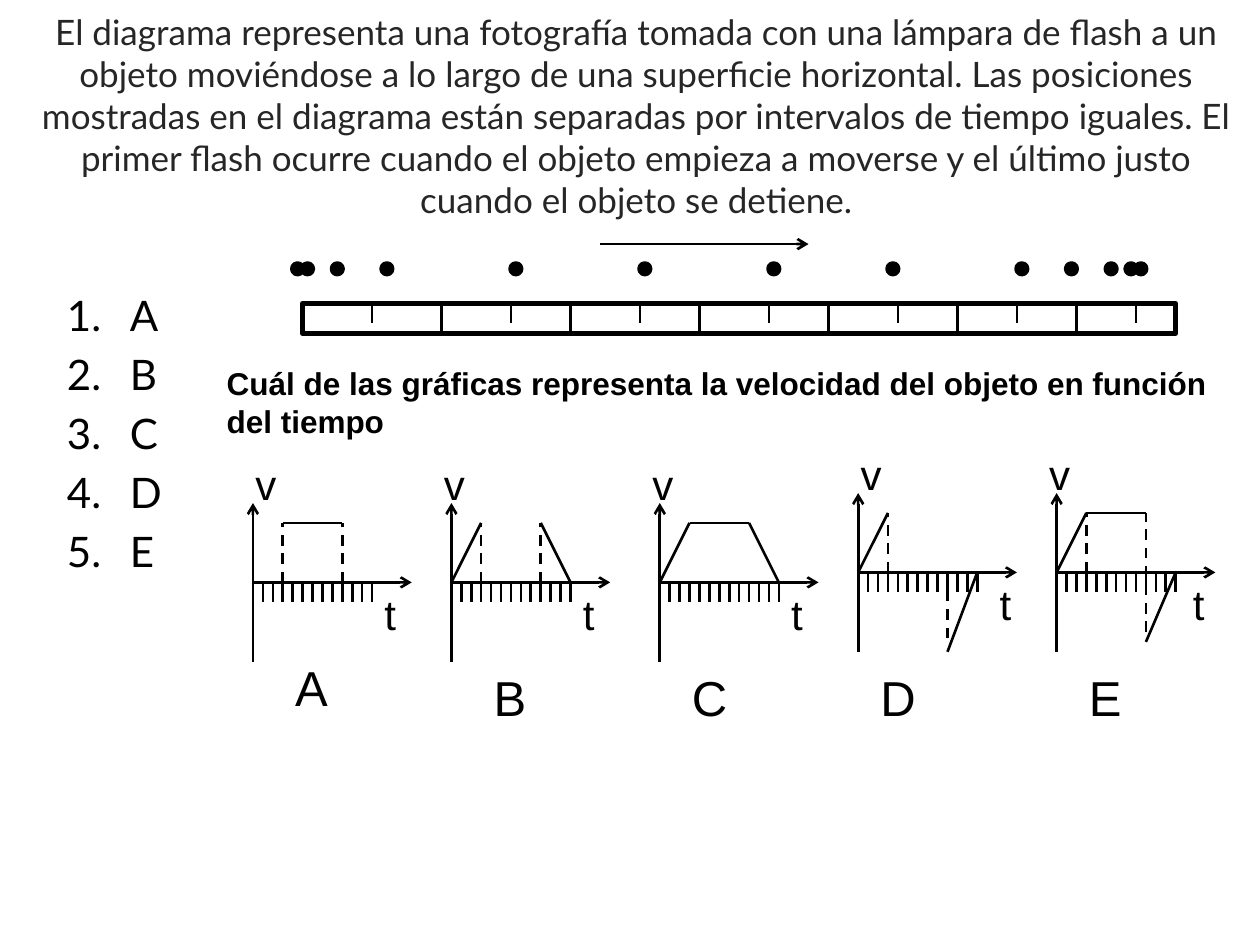
from dataclasses import dataclass

from lxml.etree import SubElement
from pptx import Presentation
from pptx.dml.color import RGBColor
from pptx.enum.dml import MSO_LINE
from pptx.enum.shapes import MSO_CONNECTOR as CONN, MSO_SHAPE as SHAPE
from pptx.enum.text import MSO_ANCHOR, MSO_AUTO_SIZE, PP_ALIGN
from pptx.oxml.ns import qn
from pptx.util import Cm, Pt


@dataclass(frozen=True)
class Theme:
    ink: RGBColor = RGBColor(0, 0, 0)
    title_ink: RGBColor = RGBColor(0x26, 0x26, 0x26)
    body_font: str = "Lato"
    graph_font: str = "Arial"
    title: int = 20
    answer: int = 24
    question: int = 18
    axis: int = 24
    letter: int = 28
    thin: float = 1.5
    thick: float = 3


THEME = Theme()

TITLE = (
    "El diagrama representa una fotografía tomada con una lámpara de flash a un "
    "objeto moviéndose a lo largo de una superficie horizontal. Las posiciones "
    "mostradas en el diagrama están separadas por intervalos de tiempo iguales. "
    "El primer flash ocurre cuando el objeto empieza a moverse y el último justo "
    "cuando el objeto se detiene."
)
QUESTION = ("Cuál de las gráficas representa la velocidad del objeto "
            "en función del tiempo")

# Centimetres from the left end of the ruler
MAJOR_MARKS = (2.8, 5.4, 8, 10.6, 13.2, 15.6)
MINOR_MARKS = (1.4, 4.2, 6.8, 9.4, 12, 14.4, 16.8)
FLASHES = (-0.2, 0, 0.6, 1.6, 4.2, 6.8, 9.4, 11.8, 14.4, 15.4, 16.2, 16.6, 16.8)

# Centimetres from the origin of a graph, y downwards
START, RISE, FALL, END, TOP = 0, 0.6, 1.8, 2.4, -1.2
UP = (START, 0, RISE, TOP)
DOWN = (FALL, TOP, END, 0)
FLAT = (FALL, TOP, RISE, TOP)
RISE_GUIDE = (RISE, 0, RISE, TOP)
FALL_GUIDE = (FALL, 0, FALL, TOP)

# Letter, origin, curve, guides, then the offsets of the letter, v and t
GRAPHS = (
    ("A", (5.1, 11.74), (FLAT,), (RISE_GUIDE, FALL_GUIDE),
     (0.6, 1.4), -0.2, 2.4),
    ("B", (9.1, 11.74), (UP, DOWN), (RISE_GUIDE, FALL_GUIDE),
     (0.6, 1.6), -0.4, 2.4),
    ("C", (13.3, 11.74), (UP, DOWN, FLAT), (),
     (0.4, 1.6), -0.4, 2.4),
    ("D", (17.3, 11.54), (UP, (END, 0, FALL, 1.6)),
     (RISE_GUIDE, (FALL, 0, FALL, 1.4)), (0.2, 1.8), -0.2, 2.6),
    ("E", (21.3, 11.54), (UP, FLAT, (END, 0, FALL, 1.4)),
     (RISE_GUIDE, (FALL, 1.2, FALL, TOP)), (0.4, 1.8), -0.4, 2.5),
)


def format_font(r, size, name, color=THEME.ink, bold=False):
    values = {"size": Pt(size), "name": name, "bold": bold}
    for key, value in values.items():
        setattr(r.font, key, value)
    r.font.color.rgb = color


def add_line(slide, origin, ends, dashed=False, arrow=False):
    """Draw a line whose ends (x1, y1, x2, y2) are relative to origin."""
    x, y = origin
    x1, y1, x2, y2 = ends
    s = slide.shapes.add_connector(
        CONN.STRAIGHT, Cm(x + x1), Cm(y + y1), Cm(x + x2), Cm(y + y2))
    s.line.color.rgb = THEME.ink
    s.line.width = Pt(THEME.thin)
    if dashed:
        s.line.dash_style = MSO_LINE.DASH
    sp_pr = s.line._get_or_add_ln().getparent()
    if arrow:
        SubElement(s.line._get_or_add_ln(), qn("a:tailEnd"), type="arrow")
    SubElement(sp_pr, qn("a:effectLst"))


def add_outlined(slide, kind, left, top, width, height):
    sp = slide.shapes.add_shape(kind, Cm(left), Cm(top), Cm(width), Cm(height))
    sp.shadow.inherit = False
    sp.fill.background()
    sp.line.color.rgb = THEME.ink
    sp.line.width = Pt(THEME.thick)
    return sp


def add_text(slide, box, lines, size, font, bold=False):
    tf = slide.shapes.add_textbox(*map(Cm, box)).text_frame
    tf.word_wrap = True
    tf.text = "\n".join(lines)
    for p in tf.paragraphs:
        format_font(p.runs[0], size, font, bold=bold)
    return tf


def place_title(slide, left, top, width, height):
    sp = slide.shapes.title
    box = {"left": left, "top": top, "width": width, "height": height}
    for key, value in box.items():
        setattr(sp, key, Cm(value))
    tf = sp.text_frame
    tf.text = TITLE
    layout = {"word_wrap": True, "auto_size": MSO_AUTO_SIZE.NONE,
              "vertical_anchor": MSO_ANCHOR.MIDDLE}
    for key, value in layout.items():
        setattr(tf, key, value)
    p = tf.paragraphs[0]
    p.alignment = PP_ALIGN.CENTER
    format_font(p.runs[0], THEME.title, THEME.body_font, THEME.title_ink)


def add_answers(slide, *box):
    tf = add_text(slide, box, "ABCDE", THEME.answer, THEME.body_font)
    for p in tf.paragraphs:
        p.space_before = Pt(0.2 * THEME.answer)
        p_pr = p._p.get_or_add_pPr()
        p_pr.set("marL", str(Cm(1.27)))
        p_pr.set("indent", str(Cm(-1.27)))
        SubElement(p_pr, qn("a:buFont"), typeface="+mj-lt")
        SubElement(p_pr, qn("a:buAutoNum"), type="arabicPeriod")


def add_flash_ruler(slide, left, top, width, height):
    origin = (left, top)
    add_outlined(slide, SHAPE.RECTANGLE, left, top, width, height)
    for marks, length in ((MAJOR_MARKS, height), (MINOR_MARKS, 0.4)):
        for x in marks:
            add_line(slide, origin, (x, 0, x, length))
    add_line(slide, origin, (6, -1.2, 10.2, -1.2), arrow=True)
    for x in FLASHES:
        dot = add_outlined(slide, SHAPE.OVAL, left + x, top - 0.8, 0.2, 0.2)
        dot.fill.solid()
        dot.fill.fore_color.rgb = THEME.ink


def add_graph(slide, letter, origin, curve, guides, letter_at, v_at, t_at):
    for axis in ((0, 1.6, 0, -1.6), (0, 0, 3.2, 0)):
        add_line(slide, origin, axis, arrow=True)
    for i in range(1, 13):
        add_line(slide, origin, (0.2 * i, 0, 0.2 * i, 0.4))
    for ends in curve:
        add_line(slide, origin, ends)
    for ends in guides:
        add_line(slide, origin, ends, dashed=True)
    x, y = origin
    labels = ((letter, letter_at, 1.45, THEME.letter),
              ("v", (v_at, -2.62), 1.27, THEME.axis),
              ("t", (t_at, 0), 1.27, THEME.axis))
    for text, (dx, dy), height, size in labels:
        add_text(slide, (x + dx, y + dy, 1.6, height), [text], size,
                 THEME.graph_font)


def main():
    prs = Presentation()
    prs.slide_width, prs.slide_height = Cm(25.4), Cm(19.05)
    slide = prs.slides.add_slide(prs.slide_layouts[5])
    place_title(slide, 0.38, 0.74, 24.9, 3.17)
    add_answers(slide, 1.1, 5.72, 3, 6.8)
    add_flash_ruler(slide, 6.1, 6.12, 17.6, 0.6)
    add_text(slide, (4.32, 7.21, 20.6, 2.57), [QUESTION], THEME.question,
             THEME.graph_font, bold=True)
    for graph in GRAPHS:
        add_graph(slide, *graph)
    prs.save("out.pptx")


if __name__ == "__main__":
    main()
